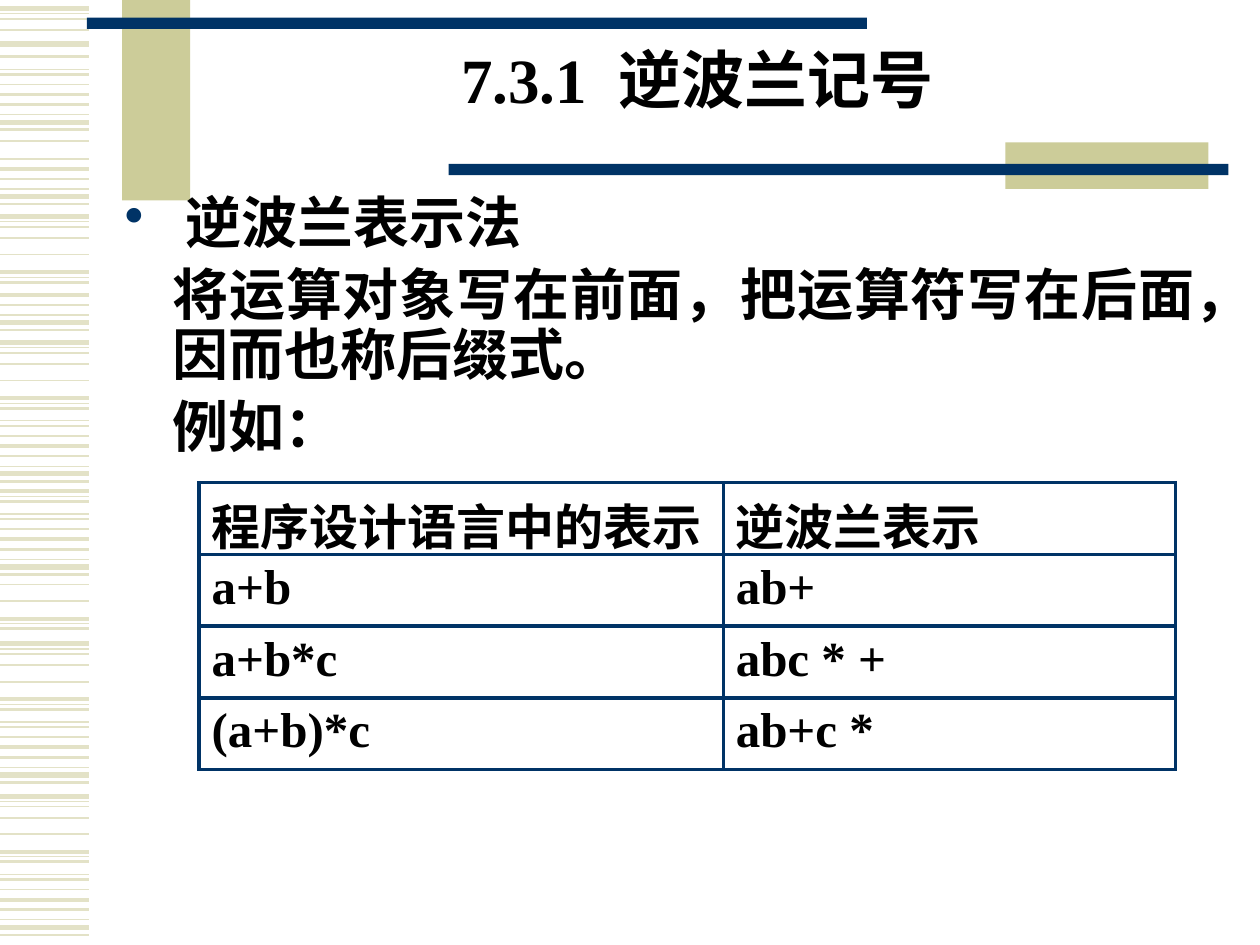
from lxml import etree
from pptx import Presentation, util as u
from pptx.dml.color import RGBColor
from pptx.enum import shapes, text
from pptx.oxml.ns import qn

PX = 9144
FONT = "Times New Roman"
NAVY, KHAKI, PALE, BLACK = "003366", "CCCC99", "E3E2C7", "000000"

STRIPES = [
    (0, 3), (4, 0.75), (8, 1), (17, 1), (30, 1), (44, 2.25), (48, 0.75), (52, 1.5),
    (62, 0.75), (66, 1.5), (74, 1), (82, 2.25), (90, 1.5), (98, 0.75), (104, 3), (110, 1.5),
]
BANDS = [
    (7, 0, 4), (-7, 8, 16), (52, 10, 16), (172, 0, 8), (152, 11, 16),
    (272, 0, 16), (346, 5, 16), (447, 3, 8), (511, 0, 16), (632, 0, 16),
]
SINGLE_STRIPES = [(35, 3), (45, 1.5), (112, 1)]
BARS = [
    (97, 0, 54, 159, KHAKI),
    (69, 14, 619, 9, NAVY),
    (798, 113, 161, 37, KHAKI),
    (356, 130, 619, 9, NAVY),
]
BODY = [" 逆波兰表示法", "将运算对象写在前面，把运算符写在后面，因而也称后缀式。", "例如："]
ROWS = [
    ("程序设计语言中的表示", "逆波兰表示"),
    ("a+b", "ab+"),
    ("a+b*c", "abc * +"),
    ("(a+b)*c", "ab+c *"),
]


def px(*values):
    return [u.Emu(v * PX) for v in values]


def color(value):
    return RGBColor.from_string(value)


def style(p, size):
    p.font.name, p.font.size, p.font.bold = FONT, u.Pt(size), True
    p.font.color.rgb = color(BLACK)


def add_stripe(s, y, weight):
    line = s.shapes.add_connector(shapes.MSO_CONNECTOR.STRAIGHT, *px(0, y, 71, y))
    line.line.color.rgb = color(PALE)
    line.line.width = u.Pt(weight)
    etree.SubElement(line._element.spPr, qn("a:effectLst"))


def add_stripes(s):
    for top, first, last in BANDS:
        for offset, weight in STRIPES[first:last]:
            add_stripe(s, top + offset, weight)
    for y, weight in SINGLE_STRIPES:
        add_stripe(s, y, weight)


def add_bar(s, x, y, w, h, fill):
    sp = s.shapes.add_shape(shapes.MSO_SHAPE.RECTANGLE, *px(x, y, w, h))
    sp.shadow.inherit = False
    sp.fill.solid()
    sp.fill.fore_color.rgb = color(fill)
    sp.line.fill.background()


def add_text(s, box, lines, size, align, spacing, before=0):
    tf = s.shapes.add_textbox(*px(*box)).text_frame
    tf.word_wrap = True
    tf.text = "\n".join(lines)
    for p in tf.paragraphs:
        style(p, size)
        p.alignment = align
        p.line_spacing = spacing
        p.space_before = u.Pt(before)
    return tf


def indent(p, margin, bullet=None):
    pPr = p._p.get_or_add_pPr()
    pPr.set("marL", str(margin * PX))
    pPr.set("indent", str(-margin * PX if bullet else 0))
    if bullet:
        clr = etree.Element(qn("a:buClr"))
        etree.SubElement(clr, qn("a:srgbClr"), val=NAVY)
        char = etree.Element(qn("a:buChar"), char=bullet)
        at = pPr.index(pPr.find(qn("a:defRPr")))
        pPr[at:at] = [clr, char]


def set_borders(cell, weight):
    tcPr = cell._tc.get_or_add_tcPr()
    for i, side in enumerate(("lnL", "lnR", "lnT", "lnB")):
        ln = etree.Element(qn(f"a:{side}"), w=str(u.Pt(weight)))
        fill = etree.SubElement(ln, qn("a:solidFill"))
        etree.SubElement(fill, qn("a:srgbClr"), val=NAVY)
        tcPr.insert(i, ln)


def add_table(s, x, y, widths, row_height):
    box = px(x, y, sum(widths), row_height * len(ROWS))
    table = s.shapes.add_table(len(ROWS), len(widths), *box).table
    table.first_row = table.horz_banding = False
    for column, width in zip(table.columns, px(*widths)):
        column.width = width
    for row, values in zip(table.rows, ROWS):
        row.height = px(row_height)[0]
        for cell, value in zip(row.cells, values):
            cell.text = value
            cell.fill.background()
            p = cell.text_frame.paragraphs[0]
            style(p, 28)
            p.space_before = u.Pt(5.6)
            set_borders(cell, 2.25)


def main():
    prs = Presentation()
    prs.slide_width, prs.slide_height = px(1000, 750)
    s = prs.slides.add_slide(prs.slide_layouts[6])
    add_stripes(s)
    for bar in BARS:
        add_bar(s, *bar)
    title = add_text(s, (150, 25, 807, 83), ["7.3.1  逆波兰记号"], 36, text.PP_ALIGN.CENTER, 0.85)
    title.vertical_anchor = text.MSO_ANCHOR.MIDDLE
    body = add_text(s, (89, 150, 870, 240), BODY, 32, text.PP_ALIGN.JUSTIFY, 0.9, 6.4)
    for p, bullet in zip(body.paragraphs, ("•", None, None)):
        indent(p, 38, bullet)
    add_table(s, 158, 383, (416, 359), 57)
    prs.save("out.pptx")


if __name__ == "__main__":
    main()
